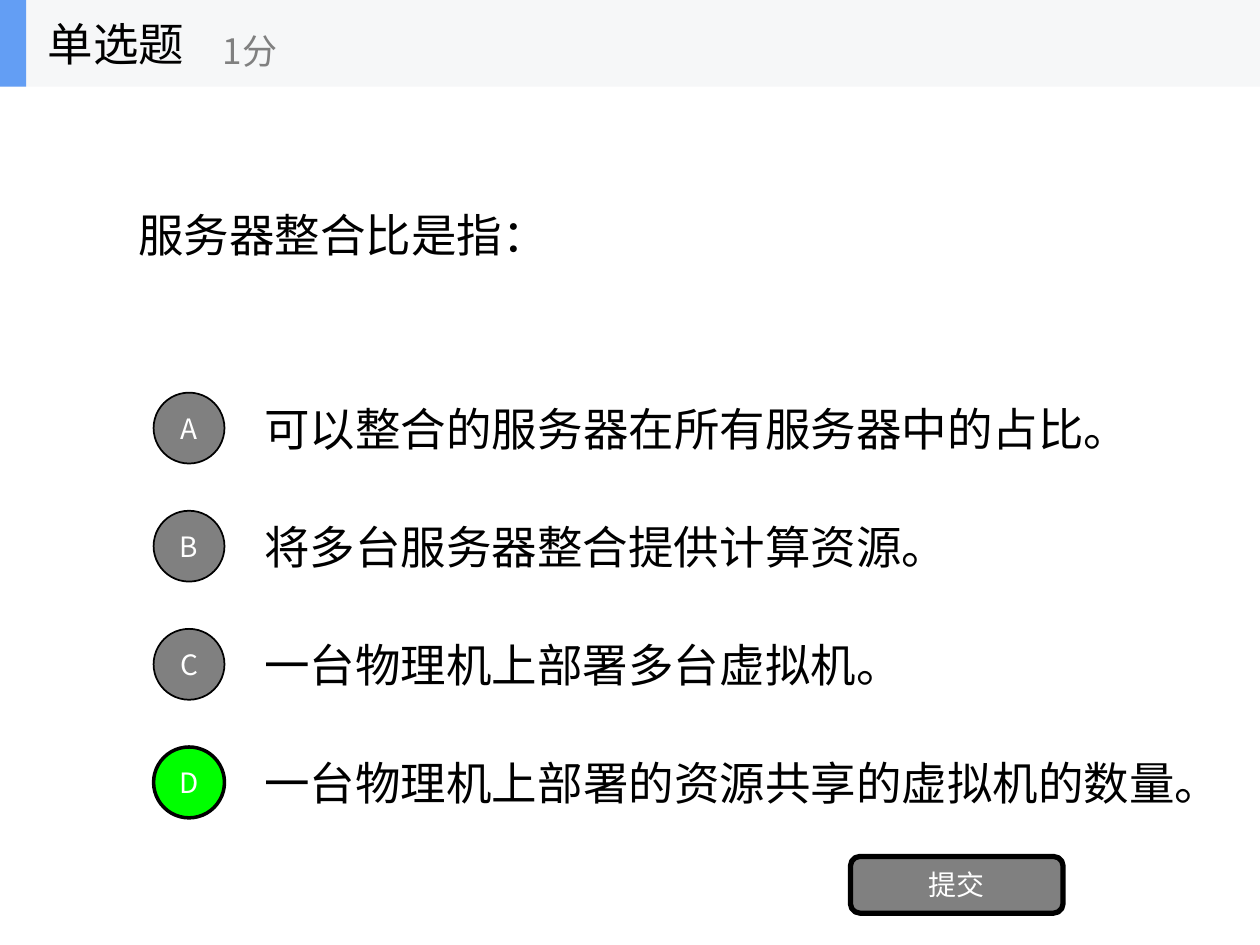
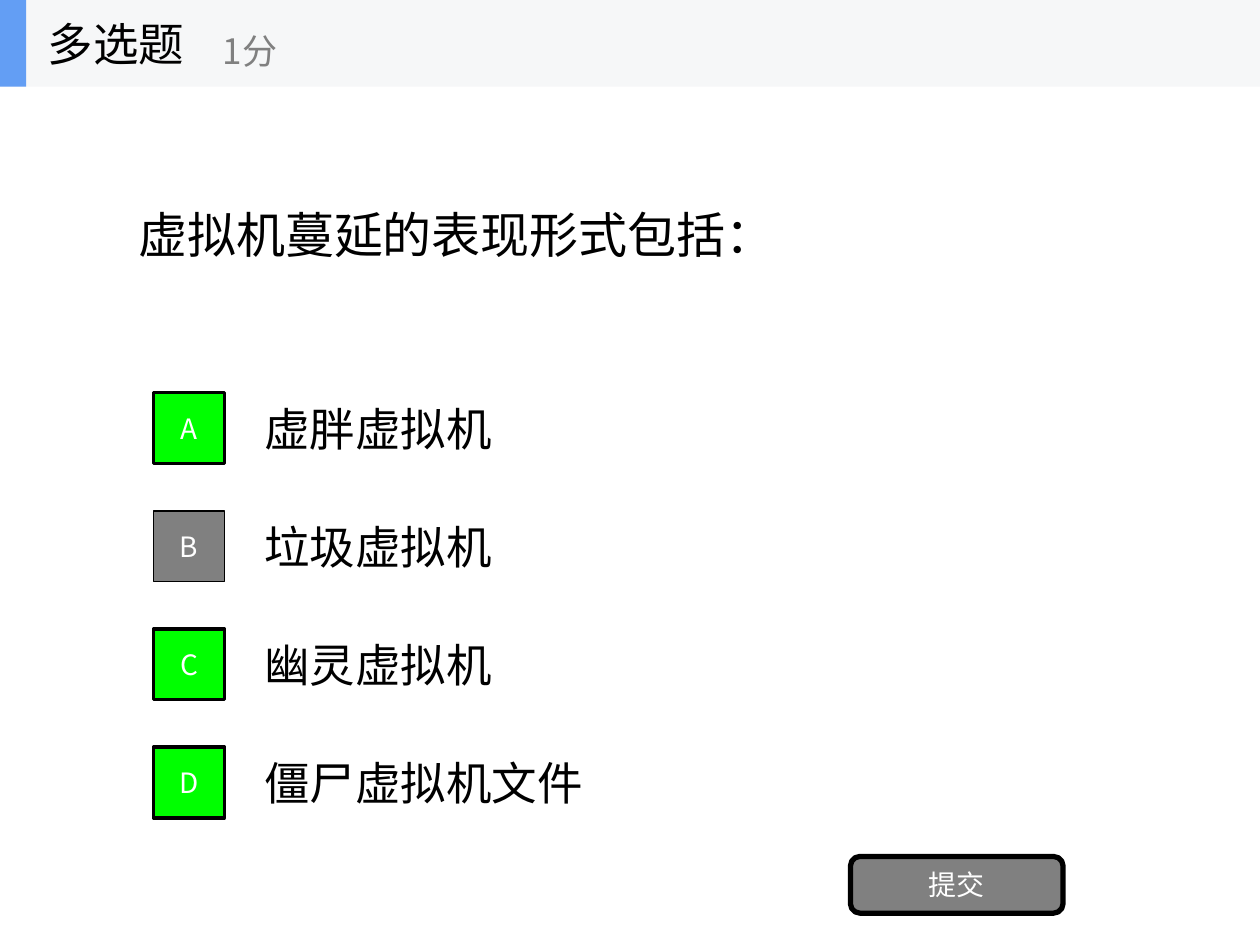
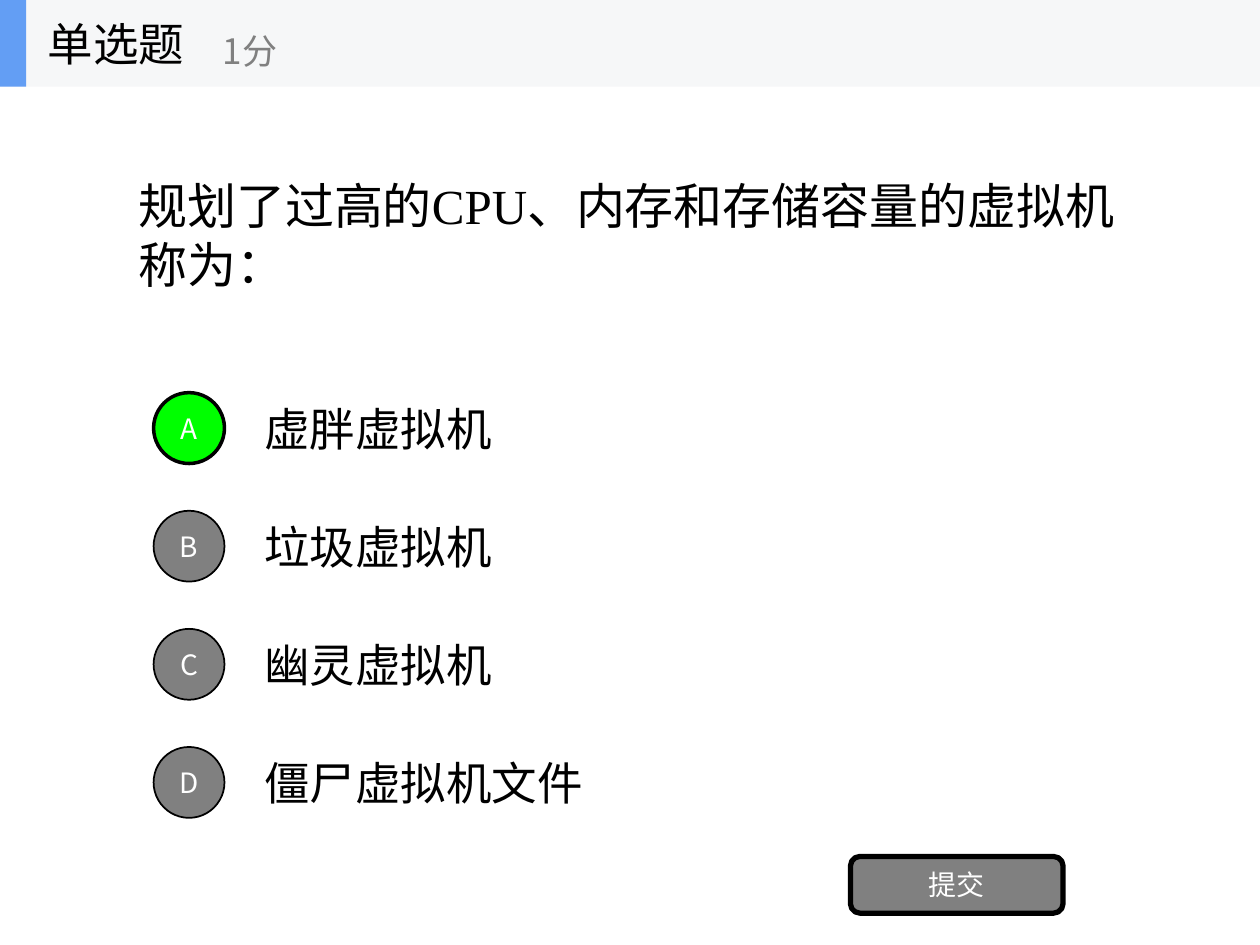
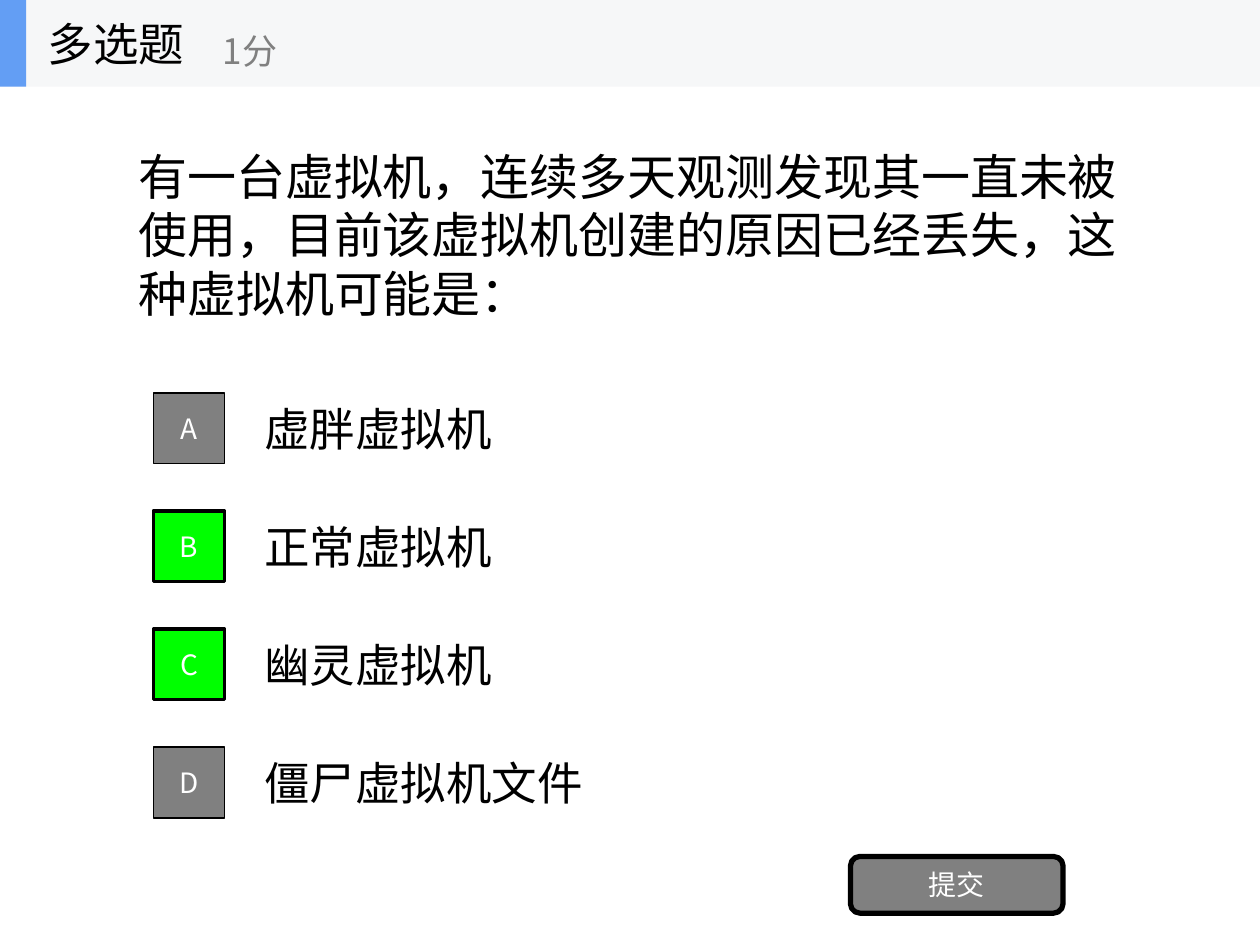
from pptx import Presentation
from pptx.dml.color import RGBColor
from pptx.enum import shapes, text as t
from pptx.oxml import ns
from pptx.util import Pt
from lxml import etree

SANS, SERIF = "Noto Sans CJK SC", "Times New Roman"
BLACK, WHITE, GREY, GREEN = "000000", "FFFFFF", "808080", "00FF00"
BAND, ACCENT = "F6F7F8", "639EF4"
HEADER_HEIGHT = 49.5
OPTION_TOP, OPTION_STEP, OPTION_HEIGHT = 219.4, 67.5, 50.4
MARKER = 40.5
NARROW = (504,) * 4

SINGLE = ("单选题", shapes.MSO_SHAPE.OVAL)
MULTIPLE = ("多选题", shapes.MSO_SHAPE.RECTANGLE)

# kind, question, font and size of the question, options, right answers, option widths
QUESTIONS = [
    (SINGLE, "服务器整合比是指：", SANS, 26,
     ("可以整合的服务器在所有服务器中的占比。", "将多台服务器整合提供计算资源。",
      "一台物理机上部署多台虚拟机。", "一台物理机上部署的资源共享的虚拟机的数量。"),
     "D", (522, 504, 504, 567)),
    (MULTIPLE, "虚拟机蔓延的表现形式包括：", SERIF, 28,
     ("虚胖虚拟机", "垃圾虚拟机", "幽灵虚拟机", "僵尸虚拟机文件"), "ACD", NARROW),
    (SINGLE, "规划了过高的CPU、内存和存储容量的虚拟机称为：", SERIF, 28,
     ("虚胖虚拟机", "垃圾虚拟机", "幽灵虚拟机", "僵尸虚拟机文件"), "A", NARROW),
    (MULTIPLE, "有一台虚拟机，连续多天观测发现其一直未被使用，"
     "目前该虚拟机创建的原因已经丢失，这种虚拟机可能是：", SERIF, 28,
     ("虚胖虚拟机", "正常虚拟机", "幽灵虚拟机", "僵尸虚拟机文件"), "BC", NARROW),
]


def write(box, words, size=26, color=BLACK, font=SANS, align=t.PP_ALIGN.LEFT):
    frame = box.text_frame
    frame.word_wrap = True
    frame.auto_size = t.MSO_AUTO_SIZE.NONE
    frame.vertical_anchor = t.MSO_ANCHOR.MIDDLE
    para = frame.paragraphs[0]
    para.alignment = align
    span = para.add_run()
    span.text = words
    span.font.size = Pt(size)
    span.font.name = font
    span.font.color.rgb = RGBColor.from_string(color)
    # Chinese characters take their typeface from a:ea
    etree.SubElement(span.font._element, ns.qn("a:ea"), typeface=SANS)


def draw(page, kind, left, top, width, height, fill, line_width=0):
    shape = page.shapes.add_shape(kind, Pt(left), Pt(top), Pt(width), Pt(height))
    shape.shadow.inherit = False
    shape.fill.solid()
    shape.fill.fore_color.rgb = RGBColor.from_string(fill)
    if line_width:
        shape.line.color.rgb = RGBColor.from_string(BLACK)
        shape.line.width = Pt(line_width)
    else:
        shape.line.fill.background()
    return shape


deck = Presentation()
deck.slide_width, deck.slide_height = Pt(720), Pt(540)

for (kind, marker_shape), question, font, size, options, answers, widths in QUESTIONS:
    page = deck.slides.add_slide(deck.slide_layouts[5])

    box = page.shapes.add_textbox(Pt(72), Pt(HEADER_HEIGHT), Pt(576), Pt(168.75))
    write(box, question, size=size, font=font)

    for row, (letter, option, width) in enumerate(zip("ABCD", options, widths)):
        top = OPTION_TOP + row * OPTION_STEP
        box = page.shapes.add_textbox(Pt(144), Pt(top), Pt(width), Pt(OPTION_HEIGHT))
        write(box, option)

        right = letter in answers
        marker = draw(page, marker_shape, 87.75, top + (OPTION_HEIGHT - MARKER) / 2,
                      MARKER, MARKER, GREEN if right else GREY, 2 if right else 1)
        write(marker, letter, size=16, color=WHITE, align=t.PP_ALIGN.CENTER)

    button = draw(page, shapes.MSO_SHAPE.ROUNDED_RECTANGLE, 486, 489.4, 121.5, 32.4, GREY, 3)
    write(button, "提交", size=16, color=WHITE, align=t.PP_ALIGN.CENTER)

    draw(page, shapes.MSO_SHAPE.RECTANGLE, 0, 0, 720, HEADER_HEIGHT, BAND)
    draw(page, shapes.MSO_SHAPE.RECTANGLE, 0, 0, 15, HEADER_HEIGHT, ACCENT)

    title = page.shapes.title
    title.left, title.top, title.width, title.height = Pt(20.2), Pt(0), Pt(150), Pt(HEADER_HEIGHT)
    write(title, kind)
    page.shapes._spTree.append(title._element)  # bring the title in front of the band

    score = page.shapes.add_textbox(Pt(120.2), Pt(8.6), Pt(180), Pt(40.3))
    write(score, "1分", size=20, color=GREY)

deck.save("out.pptx")
